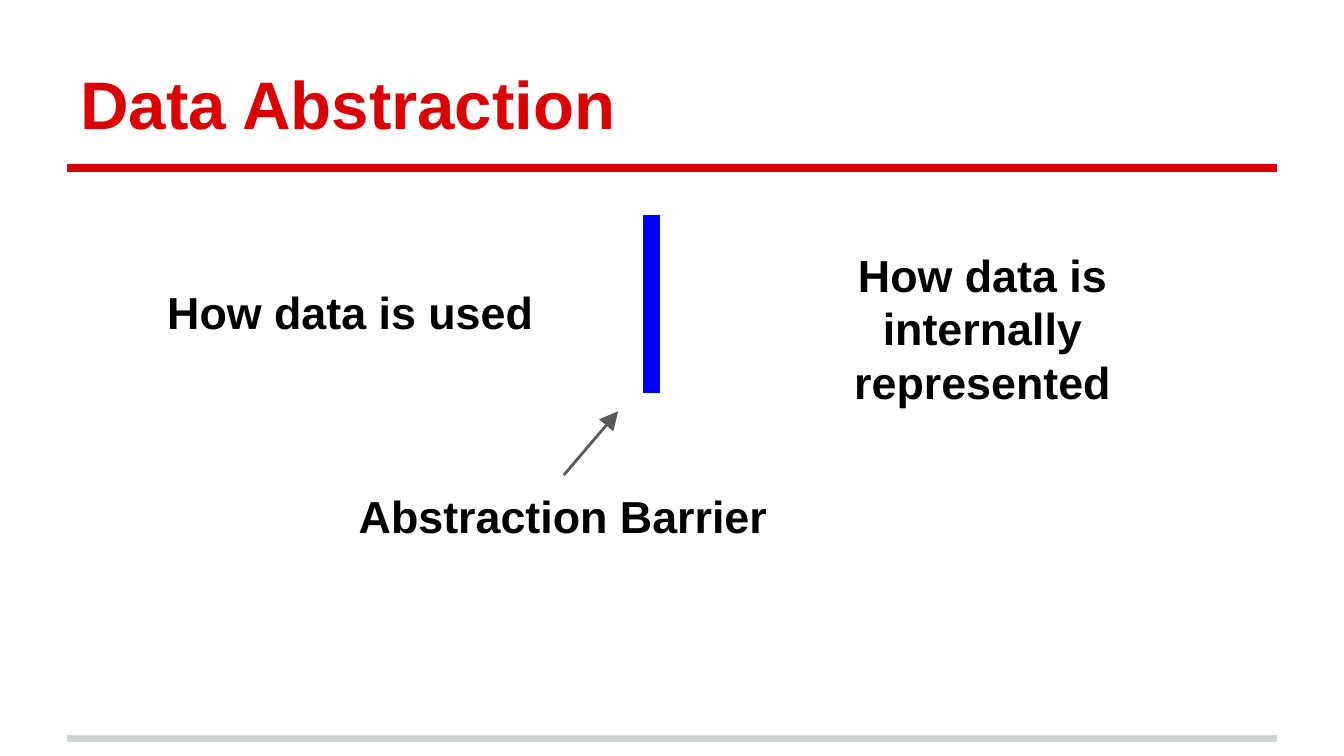
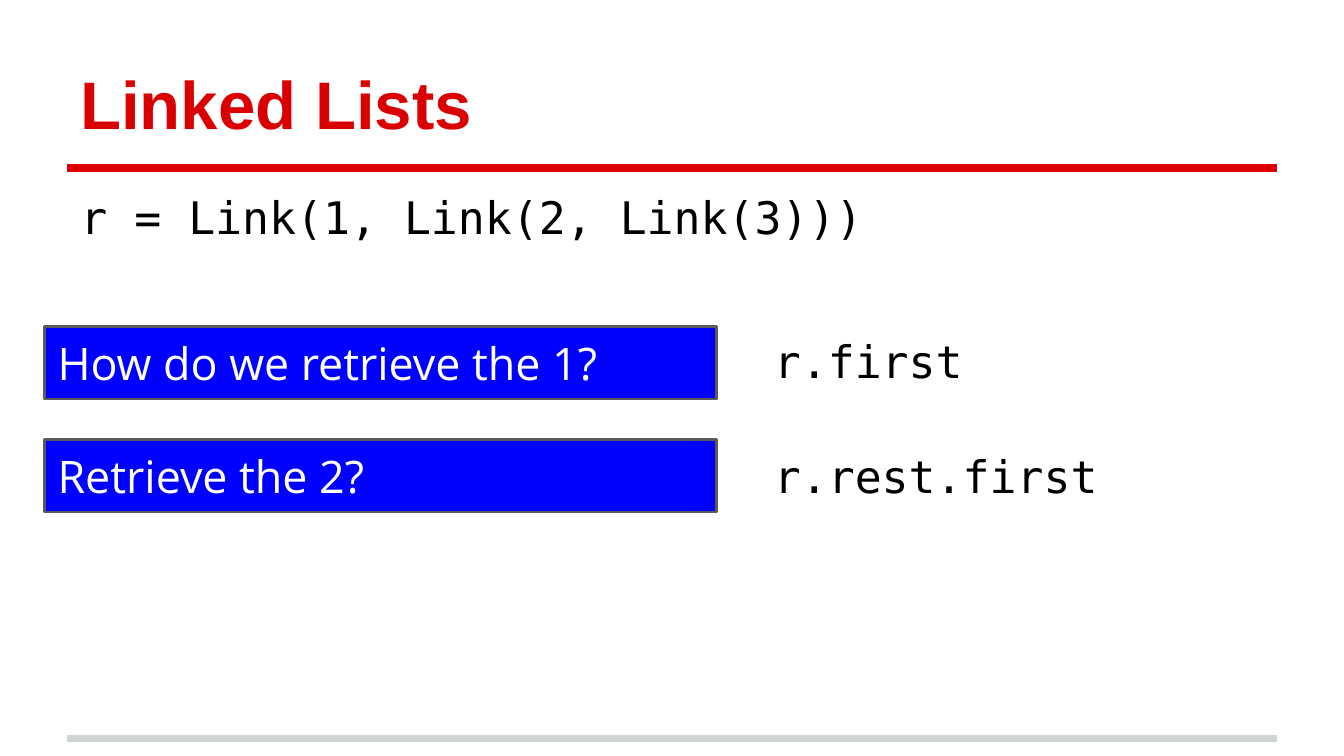
from dataclasses import dataclass

from lxml.etree import SubElement
from pptx import Presentation
from pptx.dml.color import RGBColor as Rgb
from pptx.enum.shapes import MSO_CONNECTOR as Link, MSO_SHAPE as Shape
from pptx.enum.text import MSO_ANCHOR as Anchor, PP_ALIGN as Align
from pptx.oxml.ns import qn
from pptx.util import Emu, Pt

PX = 4572  # 200 px to the inch


@dataclass(frozen=True)
class Theme:
    red: str = "DA0002"
    gray: str = "CFD4D4"
    dark: str = "5B595A"
    blue: str = "0000FF"
    black: str = "000000"
    white: str = "FFFFFF"
    sans: str = "Arial"
    mono: str = "DejaVu Sans Mono"
    open: str = "Open Sans"
    head: int = 36
    body: int = 24
    rule: float = 4
    bar: float = 9
    thin: float = 1.5
    pad: int = 20


T = Theme()


@dataclass(frozen=True)
class Style:
    font: str
    size: int
    color: str
    bold: bool = False
    align: Align = Align.LEFT
    anchor: Anchor = Anchor.TOP


TITLE = Style(T.sans, T.head, T.red, bold=True, anchor=Anchor.BOTTOM)
LABEL = Style(T.sans, T.body, T.black, bold=True)
SIDE = Style(T.sans, T.body, T.black, bold=True, align=Align.CENTER)
CODE = Style(T.mono, T.body, T.black)
ASK = Style(T.open, T.body, T.white, anchor=Anchor.MIDDLE)


@dataclass(frozen=True)
class Box:
    text: str
    x: int
    y: int
    w: int
    h: int
    style: Style


@dataclass(frozen=True)
class Line:
    x1: int
    y1: int
    x2: int
    y2: int
    color: str
    width: float
    arrow: bool = False


RULES = (
    Line(100, 1099, 1900, 1099, T.gray, T.rule),
    Line(100, 250, 1900, 250, T.red, T.rule),
)


def px(*sizes: int) -> list[Emu]:
    return [Emu(size * PX) for size in sizes]


def write(shape, text: str, style: Style) -> None:
    frame = shape.text_frame
    frame.word_wrap = True
    frame.vertical_anchor = style.anchor
    pad, = px(T.pad)
    frame.margin_left = frame.margin_right = pad
    frame.margin_top = frame.margin_bottom = pad
    para = frame.paragraphs[0]
    para.alignment = style.align
    run = para.add_run()
    run.text = text
    font = run.font
    font.name, font.size, font.bold = style.font, Pt(style.size), style.bold
    font.color.rgb = Rgb.from_string(style.color)


def put_text(slide, box: Box):
    shape = slide.shapes.add_textbox(*px(box.x, box.y, box.w, box.h))
    write(shape, box.text, box.style)
    return shape


def put_panel(slide, box: Box) -> None:
    """Draw a filled and outlined rectangle with text."""
    shape = slide.shapes.add_shape(Shape.RECTANGLE, *px(box.x, box.y, box.w, box.h))
    shape.shadow.inherit = False
    shape.fill.solid()
    shape.fill.fore_color.rgb = Rgb.from_string(T.blue)
    shape.line.color.rgb = Rgb.from_string(T.dark)
    shape.line.width = Pt(T.thin)
    write(shape, box.text, box.style)


def put_line(slide, line: Line):
    wire = slide.shapes.add_connector(
        Link.STRAIGHT, *px(line.x1, line.y1, line.x2, line.y2))
    wire.line.color.rgb = Rgb.from_string(line.color)
    wire.line.width = Pt(line.width)
    if line.arrow:
        SubElement(wire.line._get_or_add_ln(), qn("a:tailEnd"),
                   type="triangle", w="lg", len="lg")
    SubElement(wire._element.spPr, qn("a:effectLst"))
    return wire


def new_slide(deck, title: str):
    """Add a blank slide with the shared rules and title."""
    slide = deck.slides.add_slide(deck.slide_layouts[6])
    for rule in RULES:
        put_line(slide, rule)
    put_text(slide, Box(title, 100, 45, 1800, 188, TITLE))
    return slide


def add_data(deck) -> None:
    slide = new_slide(deck, "Data Abstraction")
    put_text(slide, Box("How data is used", 223, 404, 596, 96, SIDE))
    put_text(slide, Box("How data is internally represented", 1182, 348, 560, 206, SIDE))
    put_line(slide, Line(970, 320, 970, 585, T.blue, T.bar))
    label = put_text(slide, Box("Abstraction Barrier", 514, 707, 650, 94, LABEL))
    arrow = put_line(slide, Line(839, 707, 920, 612, T.dark, T.thin, arrow=True))
    arrow.begin_connect(label, 0)


def add_lists(deck) -> None:
    slide = new_slide(deck, "Linked Lists")
    put_text(slide, Box("r = Link(1, Link(2, Link(3)))", 100, 262, 1390, 130, CODE))
    pairs = (
        ("How do we retrieve the 1?", "r.first", 690),
        ("Retrieve the 2?", "r.rest.first", 768),
    )
    for row, (ask, code, wide) in enumerate(pairs):
        put_panel(slide, Box(ask, 66, 486 + 168 * row, 1000, 108, ASK))
        put_text(slide, Box(code, 1132, 476 + 172 * row, wide, 130, CODE))


def main() -> None:
    deck = Presentation()
    deck.slide_width, deck.slide_height = px(2000, 1125)
    add_data(deck)
    add_lists(deck)
    deck.save("out.pptx")


if __name__ == "__main__":
    main()
